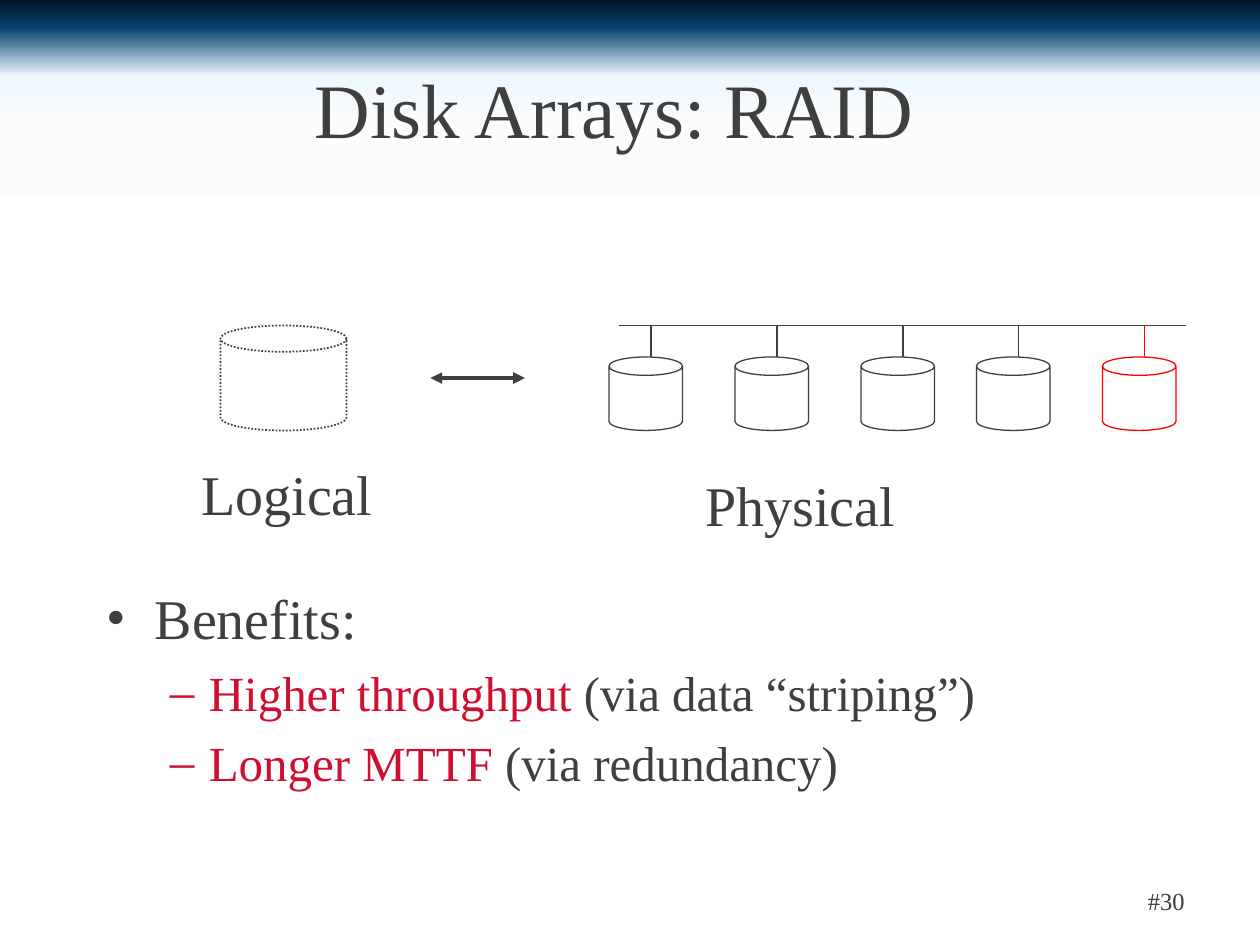
from lxml import etree
from pptx import Presentation
from pptx.dml.color import RGBColor
from pptx.enum.dml import MSO_LINE
from pptx.enum.shapes import MSO_CONNECTOR, MSO_SHAPE
from pptx.enum.text import MSO_ANCHOR, PP_ALIGN
from pptx.oxml.ns import qn
from pptx.util import Inches, Pt

CAN = MSO_SHAPE.CAN
STRAIGHT = MSO_CONNECTOR.STRAIGHT
DOTTED = MSO_LINE.ROUND_DOT
TOP, MIDDLE = MSO_ANCHOR.TOP, MSO_ANCHOR.MIDDLE
LEFT, CENTER, RIGHT = PP_ALIGN.LEFT, PP_ALIGN.CENTER, PP_ALIGN.RIGHT

FONT = "Times New Roman"
INK, WHITE, RED, CRIMSON = "3F3F3F", "FFFFFF", "FF0000", "CF0E30"
SKY = [(0, "011629"), (3, "054470"), (8, "ECF7FE"),
       (13, "FCFCFC"), (21, WHITE), (100, WHITE)]


def color(value):
    """Turn a hex string into a color."""
    return RGBColor.from_string(value)


def add_text(paragraph, text, size=32, ink=INK):
    """Append one formatted run to a paragraph."""
    run = paragraph.add_run()
    run.text = text
    run.font.name = FONT
    run.font.size = Pt(size)
    run.font.color.rgb = color(ink)


def set_bullet(paragraph, symbol, margin, hanging):
    """Give a paragraph a bullet with a hanging indent."""
    properties = paragraph._p.get_or_add_pPr()
    properties.set("marL", str(Inches(margin)))
    properties.set("indent", str(-Inches(hanging)))
    etree.SubElement(properties, qn("a:buFont"), typeface=FONT)
    etree.SubElement(properties, qn("a:buChar"), char=symbol)


class Board:
    """Draw on one slide whose grid has 120 columns and 90 rows."""

    def __init__(self, presentation):
        """Add a blank slide and measure its grid."""
        self.slide = presentation.slides.add_slide(presentation.slide_layouts[6])
        self.column = presentation.slide_width / 120
        self.row = presentation.slide_height / 90

    def place(self, column, row):
        """Turn a grid position or size into lengths."""
        return round(column * self.column), round(row * self.row)

    def background(self, stops):
        """Fill the background with a gradient from top to bottom."""
        fill = self.slide.background.fill
        fill.gradient()
        fill.gradient_angle = 270
        stop_list = next(self.slide.element.iter(qn("a:gsLst")))
        stop_list.clear()
        for percent, value in stops:
            stop = etree.SubElement(stop_list, qn("a:gs"), pos=str(percent * 1000))
            etree.SubElement(stop, qn("a:srgbClr"), val=value)

    def text_box(self, column, row, width, height, anchor=MIDDLE, wrap=True):
        """Add an empty text box and return its frame."""
        box = self.slide.shapes.add_textbox(*self.place(column, row),
                                            *self.place(width, height))
        box.text_frame.word_wrap = wrap
        box.text_frame.vertical_anchor = anchor
        return box.text_frame

    def label(self, text, *area, size=32, align=LEFT, wrap=True):
        """Add a single line of text."""
        paragraph = self.text_box(*area, wrap=wrap).paragraphs[0]
        paragraph.alignment = align
        add_text(paragraph, text, size=size)

    def benefits(self, heading, items, *area):
        """Add a bulleted heading with a highlighted list below it."""
        frame = self.text_box(*area, anchor=TOP)
        paragraph = frame.paragraphs[0]
        add_text(paragraph, heading)
        set_bullet(paragraph, "•", 0.38, 0.38)
        for gain, means in items:
            paragraph = frame.add_paragraph()
            paragraph.level = 1
            paragraph.space_before = Pt(6.5)
            add_text(paragraph, gain, size=28, ink=CRIMSON)
            add_text(paragraph, means, size=28)
            set_bullet(paragraph, "–", 0.81, 0.31)

    def disk(self, column, row, width, height, ink=INK, weight=0.75, dash=None):
        """Add a disk drawn as a cylinder."""
        shape = self.slide.shapes.add_shape(CAN, *self.place(column, row),
                                            *self.place(width, height))
        shape.shadow.inherit = False
        shape.fill.solid()
        shape.fill.fore_color.rgb = color(WHITE)
        shape.line.color.rgb = color(ink)
        shape.line.width = Pt(weight)
        if dash:
            shape.line.dash_style = dash

    def line(self, start, end, ink=INK, weight=0.75, arrows=False):
        """Add a straight line, with arrowheads at both ends on request."""
        connector = self.slide.shapes.add_connector(
            STRAIGHT, *self.place(*start), *self.place(*end))
        connector.line.color.rgb = color(ink)
        connector.line.width = Pt(weight)
        properties = connector.element.spPr
        if arrows:
            outline = properties.find(qn("a:ln"))
            for tag in ("a:headEnd", "a:tailEnd"):
                etree.SubElement(outline, qn(tag), type="triangle")
        etree.SubElement(properties, qn("a:effectLst"))


def main():
    """Build the slide about disk arrays."""
    presentation = Presentation()
    presentation.slide_width, presentation.slide_height = Inches(10), Inches(7.5)
    board = Board(presentation)
    board.background(SKY)
    board.label("#30", 86, 83.4, 28, 4.8, size=14, align=RIGHT)
    board.label("Disk Arrays: RAID", 2, 3.6, 113, 13.4, size=44, align=CENTER)
    board.benefits("Benefits:",
                   [("Higher throughput", " (via data “striping”)"),
                    ("Longer MTTF", " (via redundancy)")],
                   9, 55, 102, 20)

    board.disk(21, 31, 12, 10, weight=1, dash=DOTTED)
    board.label("Logical", 18, 43.2, 18.7, 7.6, wrap=False)
    board.line((41, 36), (50, 36), weight=2.25, arrows=True)

    bus_row, disk_row = 31, 34
    board.line((59, bus_row), (113, bus_row))
    for column, ink in [(58, INK), (70, INK), (82, INK), (93, INK), (105, RED)]:
        board.disk(column, disk_row, 7, 7, ink=ink)
        board.line((column + 4, bus_row), (column + 4, disk_row), ink=ink)
    board.label("Physical", 66, 44.2, 20.5, 7.6, wrap=False)

    presentation.save("out.pptx")


if __name__ == "__main__":
    main()
